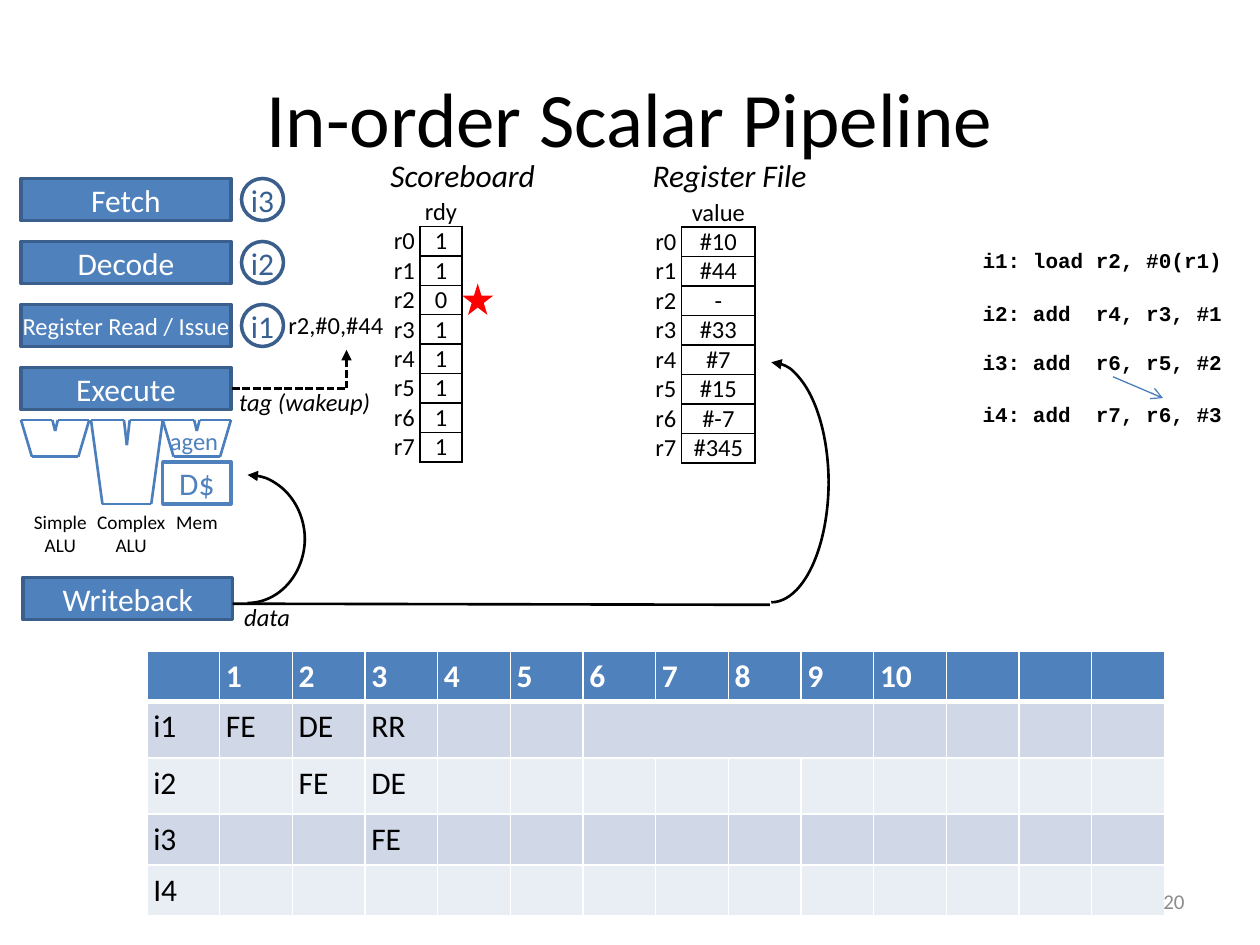
from dataclasses import dataclass
from itertools import pairwise

from lxml.etree import SubElement
from pptx import Presentation
from pptx.dml.color import RGBColor
from pptx.enum.dml import MSO_LINE
from pptx.enum.shapes import MSO_CONNECTOR, MSO_SHAPE
from pptx.enum.text import MSO_ANCHOR, MSO_AUTO_SIZE, PP_ALIGN
from pptx.oxml.ns import qn
from pptx.util import Pt

PLAIN_TABLE_STYLE = "{2D5ABB26-0587-4C30-8999-92F81FD0307C}"


@dataclass(frozen=True)
class Theme:
    font: str = "Calibri"
    code_font: str = "Courier New"
    black: str = "000000"
    white: str = "FFFFFF"
    blue: str = "4F81BD"
    edge: str = "3A5F8C"
    wire: str = "4B7EBC"
    navy: str = "376092"
    gray: str = "8C8C8C"
    red: str = "FF0000"
    bands: tuple = ("D0D8E8", "E9EDF4")
    title: int = 44
    large: int = 18
    medium: int = 14
    small: int = 12
    tiny: int = 11


def assign(target, values):
    for name, value in values.items():
        setattr(target, name, value)


class SlideBuilder:
    def __init__(self, page, theme):
        self.page, self.theme = page, theme

    def fill_text(self, frame, text, size, color=None, align=None, **font):
        para = frame.paragraphs[0]
        para.text = text
        para.alignment = align
        values = {"name": self.theme.font, "size": Pt(size)} | font
        for span in para.runs:
            assign(span.font, values)
            span.font.color.rgb = RGBColor.from_string(color or self.theme.black)
        if not text:
            SubElement(para._p, qn("a:endParaRPr"), sz=str(size * 100))

    def stroke(self, item, color, width, dash=None, head=None, tail=None):
        item.line.color.rgb = RGBColor.from_string(color)
        item.line.width = Pt(width)
        if dash:
            item.line.dash_style = dash
        for tag, kind in (("a:headEnd", head), ("a:tailEnd", tail)):
            if kind:
                SubElement(item.line._get_or_add_ln(), qn(tag), type=kind)

    def text(self, left, top, width, height, text, size, wrap=False, anchor=MSO_ANCHOR.TOP, **style):
        box = self.page.shapes.add_textbox(Pt(left), Pt(top), Pt(width), Pt(height))
        fit = MSO_AUTO_SIZE.NONE if wrap else MSO_AUTO_SIZE.SHAPE_TO_FIT_TEXT
        assign(box.text_frame, {"word_wrap": wrap, "auto_size": fit, "vertical_anchor": anchor})
        self.fill_text(box.text_frame, text, size, **style)

    def shape(self, kind, left, top, width, height, fill=None, edge=None, edge_width=2, head=None):
        item = self.page.shapes.add_shape(kind, Pt(left), Pt(top), Pt(width), Pt(height))
        item.shadow.inherit = False
        if fill:
            item.fill.solid()
            item.fill.fore_color.rgb = RGBColor.from_string(fill)
        else:
            item.fill.background()
        if edge:
            self.stroke(item, edge, edge_width, head=head)
        else:
            item.line.fill.background()
        return item

    def label(self, item, text, size, color, margin=7.2):
        values = {"vertical_anchor": MSO_ANCHOR.MIDDLE, "margin_left": Pt(margin), "margin_right": Pt(margin)}
        assign(item.text_frame, values)
        self.fill_text(item.text_frame, text, size, color, PP_ALIGN.CENTER)

    def stage(self, left, top, text, size, margin=7.2):
        item = self.shape(MSO_SHAPE.RECTANGLE, left, top, 120, 24, self.theme.blue, self.theme.edge)
        self.label(item, text, size, self.theme.white, margin)

    def badge(self, top, text):
        item = self.shape(MSO_SHAPE.OVAL, 138, top, 24, 24, edge=self.theme.edge)
        assign(item.text_frame, {"margin_top": 0, "margin_bottom": 0})
        self.label(item, text, self.theme.large, self.theme.navy, margin=0)

    def line(self, start, end, color, width=1.5, **ends):
        points = [Pt(value) for value in (*start, *end)]
        item = self.page.shapes.add_connector(MSO_CONNECTOR.STRAIGHT, *points)
        self.stroke(item, color, width, **ends)
        SubElement(item._element.spPr, qn("a:effectLst"))

    def alu(self, left, width, depth):
        """Trapezoid with a notch in its top edge."""
        outline = [(0, 0), (0.16, 1), (0.84, 1), (1, 0), (0.54, 0), (0.5, 0.3), (0.46, 0), (0, 0)]
        corners = [(left + x * width, 240 + y * depth) for x, y in outline]
        for start, end in pairwise(corners):
            self.line(start, end, self.theme.wire)

    def bypass(self, left, top, width, height):
        """Half loop: upper arc with an arrowhead, lower arc mirrored."""
        style = {"edge": self.theme.black, "edge_width": 1.5}
        self.shape(MSO_SHAPE.ARC, left, top, width, height, head="triangle", **style)
        lower = self.shape(MSO_SHAPE.ARC, left, top - 1, width, height, **style)
        lower._element.spPr.xfrm.set("flipV", "1")

    def table(self, left, top, widths, heights):
        frame = self.page.shapes.add_table(
            len(heights), len(widths), Pt(left), Pt(top), Pt(sum(widths)), Pt(sum(heights)))
        grid = frame.table
        assign(grid, {"first_row": False, "horz_banding": False})
        grid._tbl.tblPr.find(qn("a:tableStyleId")).text = PLAIN_TABLE_STYLE
        for column, width in zip(grid.columns, widths):
            column.width = Pt(width)
        for row, height in zip(grid.rows, heights):
            row.height = Pt(height)
        return grid

    def cell(self, cell, text, size, margin, borders, fill=None, **style):
        """borders maps an edge letter (L, R, T, B) to (color, width)."""
        sides = ("left", "right", "top", "bottom")
        assign(cell, {f"margin_{side}": Pt(margin) for side in sides})
        self.fill_text(cell.text_frame, text, size, **style)
        properties = cell._tc.get_or_add_tcPr()
        for edge, (color, width) in borders.items():
            border = SubElement(properties, qn(f"a:ln{edge}"), w=str(Pt(width)))
            SubElement(SubElement(border, qn("a:solidFill")), qn("a:srgbClr"), val=color)
        if fill:
            cell.fill.solid()
            cell.fill.fore_color.rgb = RGBColor.from_string(fill)

    def registers(self, left, top, heading, width, values):
        theme = self.theme
        grid = self.table(left, top, [18, width], [16.8] * (len(values) + 1))
        rows = [("", heading)] + [(f"r{index}", value) for index, value in enumerate(values)]
        for r, row in enumerate(rows):
            for c, text in enumerate(row):
                edges = "" if c == 0 else "LRTB" if r else "B"
                borders = {edge: (theme.black, 1) for edge in edges}
                self.cell(grid.cell(r, c), text, theme.medium, 0, borders, align=PP_ALIGN.CENTER)

    def timeline(self, left, top, rows, heights):
        theme = self.theme
        grid = self.table(left, top, [41.55] * 14, heights)
        for r, row in enumerate(rows):
            fill = theme.bands[(r - 1) % 2] if r else theme.blue
            color = theme.black if r else theme.white
            borders = {edge: (theme.white, 1) for edge in "LRTB"}
            if r < 2:
                borders["T" if r else "B"] = (theme.white, 3)
            for c in range(14):
                text = row[c] if c < len(row) else ""
                self.cell(grid.cell(r, c), text, theme.large, 3.6, borders, fill, color=color, bold=r == 0)
        grid.cell(1, 6).merge(grid.cell(1, 9))


def build_slide(slide, theme):
    slide.text(36, 21.6, 648, 90, "In-order Scalar Pipeline", theme.title, wrap=True,
               anchor=MSO_ANCHOR.MIDDLE, align=PP_ALIGN.CENTER)

    stages = [("Fetch", theme.large, 7.2), ("Decode", theme.large, 7.2),
              ("Register Read / Issue", theme.medium, 0), ("Execute", theme.large, 7.2)]
    for index, (name, size, margin) in enumerate(stages):
        slide.stage(12, 102 + 36 * index, name, size, margin)
    slide.stage(13, 330, "Writeback", theme.large)
    for index, name in enumerate(("i3", "i2", "i1")):
        slide.badge(102 + 36 * index, name)

    for left, width, depth in ((12, 39, 21), (52, 41, 48), (93, 39, 21)):
        slide.alu(left, width, depth)
    slide.text(90, 240, 42.5, 24.2, "agen", theme.medium, color=theme.blue)
    cache = slide.shape(MSO_SHAPE.RECTANGLE, 93, 264, 39, 24, edge=theme.blue)
    slide.label(cache, "D$", theme.large, theme.blue)
    slide.text(12, 288, 45, 34, "Simple\nALU", theme.tiny, align=PP_ALIGN.CENTER)
    slide.text(48, 288, 54, 34, "Complex\nALU", theme.tiny, align=PP_ALIGN.CENTER)
    slide.text(93.6, 288, 38, 21, "Mem", theme.tiny)

    rows = [["", *map(str, range(1, 11))], ["i1", "FE", "DE", "RR"],
            ["i2", "", "FE", "DE"], ["i3", "", "", "FE"], ["I4"]]
    slide.timeline(84, 372, rows, [28, 32.4, 32, 29.2, 28.6])
    slide.text(516, 500.4, 168, 28.8, "20", theme.small, wrap=True, anchor=MSO_ANCHOR.MIDDLE,
               color=theme.gray, align=PP_ALIGN.RIGHT)

    program = [(138, "i1: load r2, #0(r1)"), (168, "i2: add  r4, r3, #1"),
               (196, "i3: add  r6, r5, #2"), (226, "i4: add  r7, r6, #3")]
    for top, code in program:
        slide.text(554.4, top, 153.4, 21.6, code, theme.small, name=theme.code_font, bold=True)
    slide.line((636, 215.3), (664.6, 227.5), theme.wire, 0.75, tail="arrow")

    slide.registers(222, 112.5, "rdy", 24, list("11011111"))
    slide.registers(371.5, 113, "value", 42, ["#10", "#44", "-", "#33", "#7", "#15", "#-7", "#345"])
    slide.text(216, 85.7, 98, 29, "Scoreboard", theme.large, italic=True)
    slide.text(365.8, 85.7, 119, 29, "Register File", theme.large, italic=True)
    slide.text(157.7, 173.5, 69, 24.2, "r2,#0,#44", theme.medium)
    slide.shape(MSO_SHAPE.STAR_5_POINT, 264, 162, 18, 18, theme.red)

    slide.bypass(408, 207, 65.5, 138.2)
    slide.bypass(108.7, 271.4, 65.5, 74.2)
    slide.line((133, 345), (440, 345.6), theme.black)
    slide.text(129.6, 217.4, 90, 24.2, "tag (wakeup)", theme.medium, italic=True)
    slide.text(132.5, 340.6, 41, 24.2, "data", theme.medium, italic=True)
    slide.line((198, 222), (198, 200), theme.black, dash=MSO_LINE.SQUARE_DOT, tail="triangle")
    slide.line((132.5, 222), (198, 222), theme.black, dash=MSO_LINE.SQUARE_DOT)


def main():
    deck = Presentation()
    assign(deck, {"slide_width": Pt(720), "slide_height": Pt(540)})
    theme = Theme()
    build_slide(SlideBuilder(deck.slides.add_slide(deck.slide_layouts[6]), theme), theme)
    deck.save("out.pptx")


if __name__ == "__main__":
    main()
